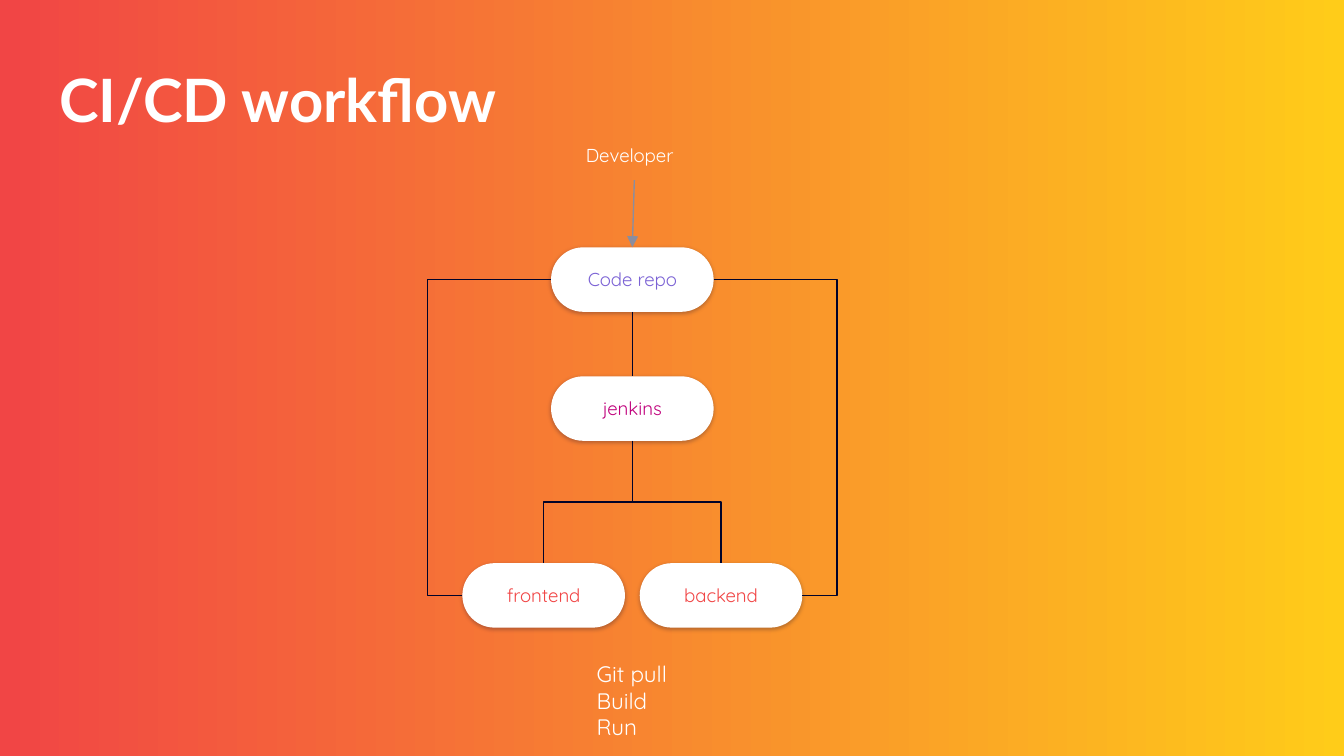
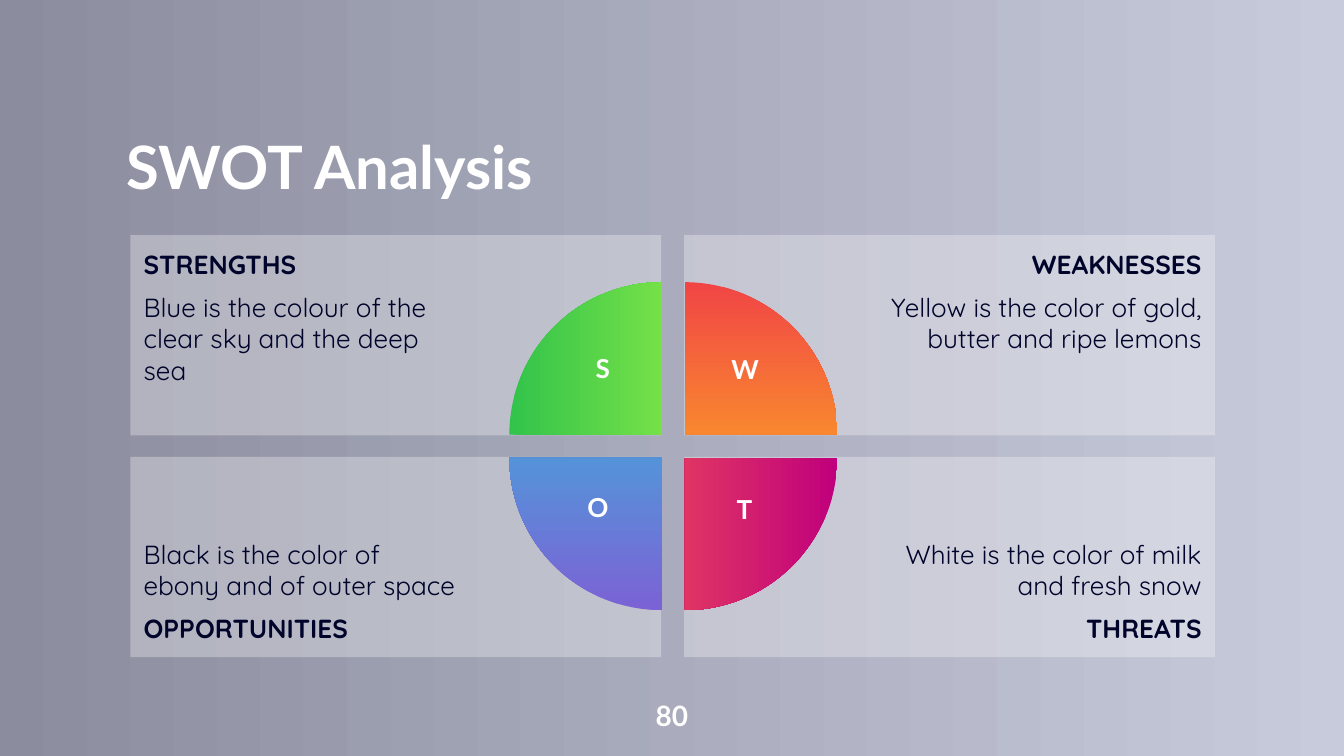
from lxml.etree import SubElement
from pptx import Presentation
from pptx.dml.color import RGBColor
from pptx.enum.shapes import MSO_CONNECTOR, MSO_SHAPE
from pptx.enum.text import MSO_ANCHOR, MSO_AUTO_SIZE, PP_ALIGN
from pptx.oxml.ns import qn
from pptx.util import Inches, Pt

WHITE, NAVY, GREY = "FFFFFF", "00032A", "8B8D9E"
RED, YELLOW, PURPLE, MAGENTA = "F14545", "FFCC19", "7B62D5", "C0007C"
LEFT, CENTER, RIGHT = PP_ALIGN.LEFT, PP_ALIGN.CENTER, PP_ALIGN.RIGHT


def paint(fill, *colours):
    """Fill with one colour, or with a left-to-right gradient of two."""
    if len(colours) == 1:
        fill.solid()
        fill.fore_color.rgb = RGBColor.from_string(colours[0])
        return
    fill.gradient()
    fill.gradient_angle = 0
    for stop, colour in zip(fill.gradient_stops, colours):
        stop.color.rgb = RGBColor.from_string(colour)


def write(shape, lines, font, size, colour, align=LEFT, anchor=MSO_ANCHOR.TOP,
          margins=(0.1, 0.1, 0.1, 0.1), bold=False):
    """Set one paragraph per line; margins are left, top, right, bottom."""
    frame = shape.text_frame
    frame.word_wrap = True
    frame.auto_size = MSO_AUTO_SIZE.NONE
    frame.vertical_anchor = anchor
    (frame.margin_left, frame.margin_top,
     frame.margin_right, frame.margin_bottom) = map(Inches, margins)
    for index, line in enumerate(lines):
        para = frame.paragraphs[0] if index == 0 else frame.add_paragraph()
        para.text = line
        para.alignment = align
        para.font.name, para.font.size, para.font.bold = font, Pt(size), bold
        paint(para.font.fill, colour)
    return frame.paragraphs


deck = Presentation()
deck.slide_width, deck.slide_height = Inches(10), Inches(5.625)
shadows = []  # effect list, colour, opacity %, blur, distance, angle

# Backgrounds and titles
pages = []
for title, left, top, background in [
    ("CI/CD workflow", 0.44, 0.58, (RED, YELLOW)),
    ("SWOT Analysis", 0.94, 1.08, (GREY, "C8CBDB")),
]:
    page = deck.slides.add_slide(deck.slide_layouts[5])
    paint(page.background.fill, *background)
    box = page.shapes.title
    box.left, box.top = Inches(left), Inches(top)
    box.width, box.height = Inches(5.13), Inches(0.43)
    para = write(box, [title], "Lato", 32, WHITE, anchor=MSO_ANCHOR.BOTTOM,
                 margins=(0, 0, 0, 0), bold=True)[0]
    para.line_spacing = 0.9
    effects = SubElement(para.runs[0].font._element, qn("a:effectLst"))
    shadows.append((effects, "000000", 40, 3, 1.5, 45))
    pages.append(page)
workflow, swot = pages

# Workflow: steps
step_width, step_height = 1.21, 0.48
steps = {}
for name, left, top, colour in [
    ("Code repo", 4.1, 1.84, PURPLE),
    ("jenkins", 4.1, 2.8, MAGENTA),
    ("frontend", 3.44, 4.19, RED),
    ("backend", 4.76, 4.19, RED),
]:
    step = workflow.shapes.add_shape(
        MSO_SHAPE.ROUNDED_RECTANGLE, Inches(left), Inches(top),
        Inches(step_width), Inches(step_height))
    step.adjustments[0] = 0.5
    paint(step.fill, WHITE)
    step.line.fill.background()
    step.shadow.inherit = False
    effects = step._element.spPr.find(qn("a:effectLst"))
    shadows.append((effects, NAVY, 25, 2.2, 0.8, 90))
    write(step, [name], "Quicksand", 10, colour, CENTER, MSO_ANCHOR.MIDDLE)
    steps[name] = step
repository, builder = steps["Code repo"], steps["jenkins"]

# Workflow: captions
captions = []
for lines, left, top, width, height, size in [
    (["Developer"], 4.26, 0.97, 0.92, 0.37, 10),
    (["Git pull", "Build", "Run"], 4.34, 4.81, 1.38, 0.81, 12),
]:
    caption = workflow.shapes.add_textbox(
        Inches(left), Inches(top), Inches(width), Inches(height))
    write(caption, lines, "Quicksand", size, WHITE)
    captions.append(caption)

# Workflow: straight lines and the outer loops, joined to the steps
links = []
for kind, start, start_side, end, end_side in [
    (MSO_CONNECTOR.STRAIGHT, captions[0], 2, repository, 0),
    (MSO_CONNECTOR.STRAIGHT, repository, 2, builder, 0),
    (MSO_CONNECTOR.ELBOW, repository, 1, steps["frontend"], 1),
    (MSO_CONNECTOR.ELBOW, repository, 3, steps["backend"], 3),
]:
    link = workflow.shapes.add_connector(kind, 0, 0, 0, 0)
    link.begin_connect(start, start_side)
    link.end_connect(end, end_side)
    if kind == MSO_CONNECTOR.ELBOW:
        guides = link._element.spPr.find(qn("a:prstGeom")).get_or_add_avLst()
        SubElement(guides, qn("a:gd"), name="adj1", fmla="val 139300")
    links.append(link)

# Workflow: branches that leave downwards, as elbows turned by 90 degrees
for name in ("frontend", "backend"):
    target = steps[name]
    start_x = builder.left + builder.width // 2
    start_y = builder.top + builder.height
    across = target.left + target.width // 2 - start_x
    down = target.top - start_y
    middle_x, middle_y = start_x + across // 2, start_y + down // 2
    link = workflow.shapes.add_connector(
        MSO_CONNECTOR.ELBOW,
        middle_x - down // 2, middle_y + across // 2,
        middle_x + down // 2, middle_y - across // 2)
    link._element.spPr.find(qn("a:xfrm")).set("rot", "5400000")
    links.append(link)

# Workflow: line style, with an arrowhead on the first link
for index, link in enumerate(links):
    link.line.width = Pt(0.75)
    paint(link.line.fill, GREY if index == 0 else NAVY)
    if index == 0:
        SubElement(link.line._get_or_add_ln(), qn("a:tailEnd"), type="triangle")
    SubElement(link._element.spPr, qn("a:effectLst"))

# SWOT: four panels, headings on the outer edge
for column, row, lines in [
    (0, 0, ["STRENGTHS", "Blue is the colour of the clear sky and the deep sea"]),
    (1, 0, ["WEAKNESSES", "Yellow is the color of gold, butter and ripe lemons"]),
    (0, 1, ["Black is the color of ebony and of outer space", "OPPORTUNITIES"]),
    (1, 1, ["White is the color of milk and fresh snow", "THREATS"]),
]:
    panel = swot.shapes.add_shape(
        MSO_SHAPE.RECTANGLE, Inches(0.97 + 4.12 * column),
        Inches(1.75 + 1.65 * row), Inches(3.95), Inches(1.49))
    paint(panel.fill, WHITE)
    white = panel._element.spPr.find(qn("a:solidFill"))[0]
    SubElement(white, qn("a:alpha"), val="30000")
    panel.line.fill.background()
    panel.shadow.inherit = False
    paras = write(panel, lines, "Quicksand", 14, NAVY,
                  RIGHT if column else LEFT,
                  MSO_ANCHOR.BOTTOM if row else MSO_ANCHOR.TOP,
                  (1.5, 0.1, 0.1, 0.1) if column else (0.1, 0.1, 1.5, 0.1))
    paras[row].font.bold = True
    paras[1].space_before = paras[1].space_after = Pt(6)

# SWOT: quarter circles, each turned 90 degrees further
for index, (column, row, colours) in enumerate([
    (0, 0, ("32C34B", "BBFF45")),
    (1, 0, (RED, YELLOW)),
    (1, 1, (MAGENTA, "FF6B4B")),
    (0, 1, (PURPLE, "2EC6DD")),
]):
    quarter = swot.shapes.add_shape(
        MSO_SHAPE.PIE, Inches(3.79 + 0.17 * column),
        Inches(2.1 + 0.17 * row), Inches(2.27), Inches(2.27))
    quarter.adjustments[0], quarter.adjustments[1] = 108, 162
    quarter.rotation = 90 * index
    paint(quarter.fill, *colours)
    quarter.line.fill.background()
    quarter.shadow.inherit = False

# SWOT: letters and page number
for text, left, top, width, height, size in [
    ("S", 4.32, 2.57, 0.33, 0.47, 14),
    ("W", 5.27, 2.58, 0.55, 0.46, 14),
    ("O", 4.28, 3.61, 0.34, 0.44, 14),
    ("T", 5.38, 3.62, 0.32, 0.45, 14),
    ("80", 4.7, 5.11, 0.6, 0.43, 15),
]:
    label = swot.shapes.add_textbox(
        Inches(left), Inches(top), Inches(width), Inches(height))
    is_number = text == "80"
    write(label, [text], "Lato", size, WHITE, CENTER,
          MSO_ANCHOR.MIDDLE if is_number else MSO_ANCHOR.TOP,
          (0, 0, 0, 0) if is_number else (0, 0.05, 0, 0.05), bold=True)

# Shadows of titles and steps
for effects, colour, opacity, blur, distance, angle in shadows:
    shadow = SubElement(
        effects, qn("a:outerShdw"), blurRad=str(Pt(blur)), dist=str(Pt(distance)),
        dir=str(angle * 60000), algn="bl", rotWithShape="0")
    tint = SubElement(shadow, qn("a:srgbClr"), val=colour)
    SubElement(tint, qn("a:alpha"), val=str(opacity * 1000))

deck.save("out.pptx")
